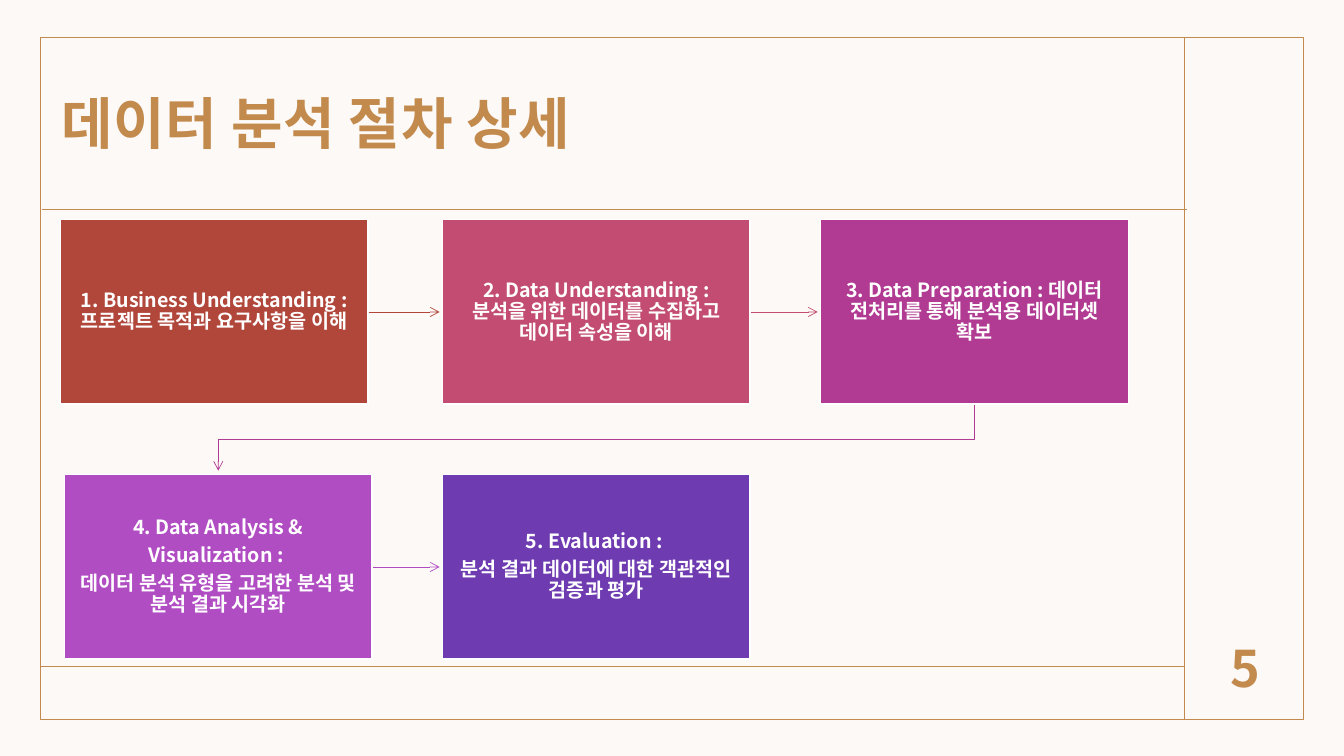
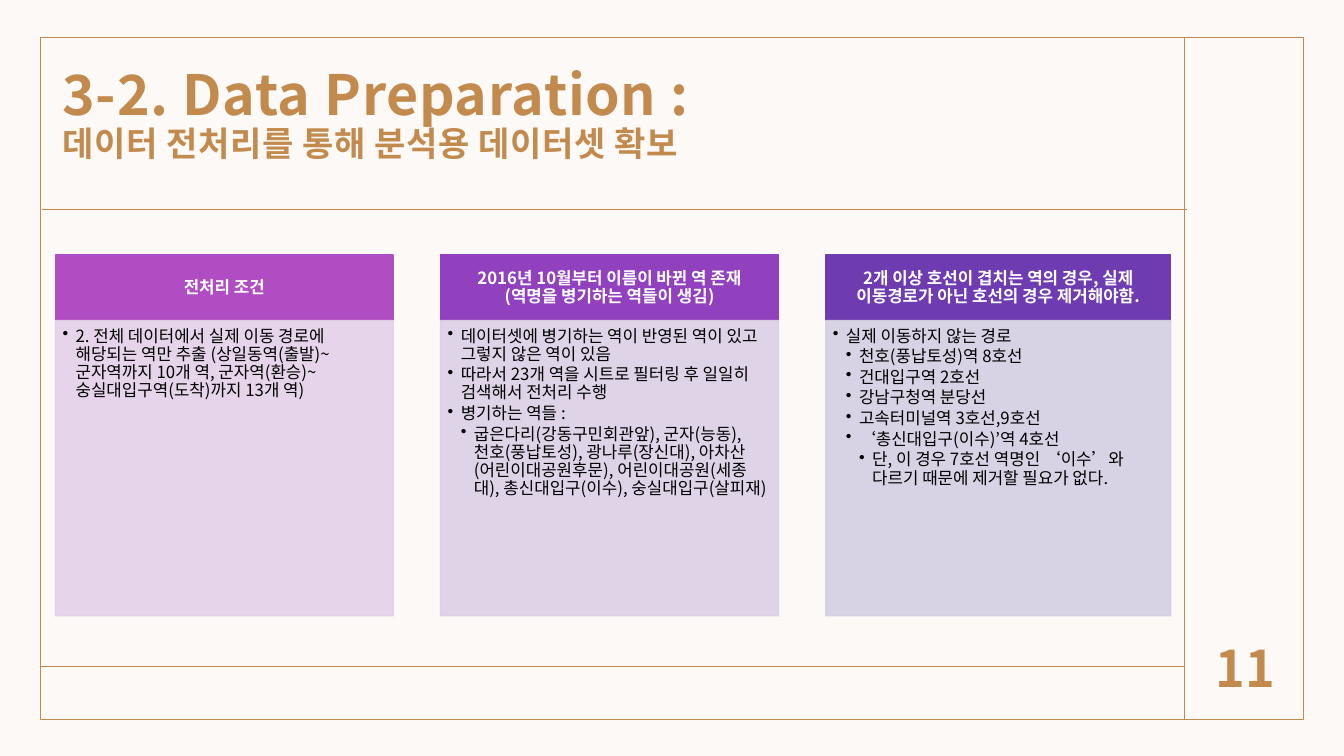
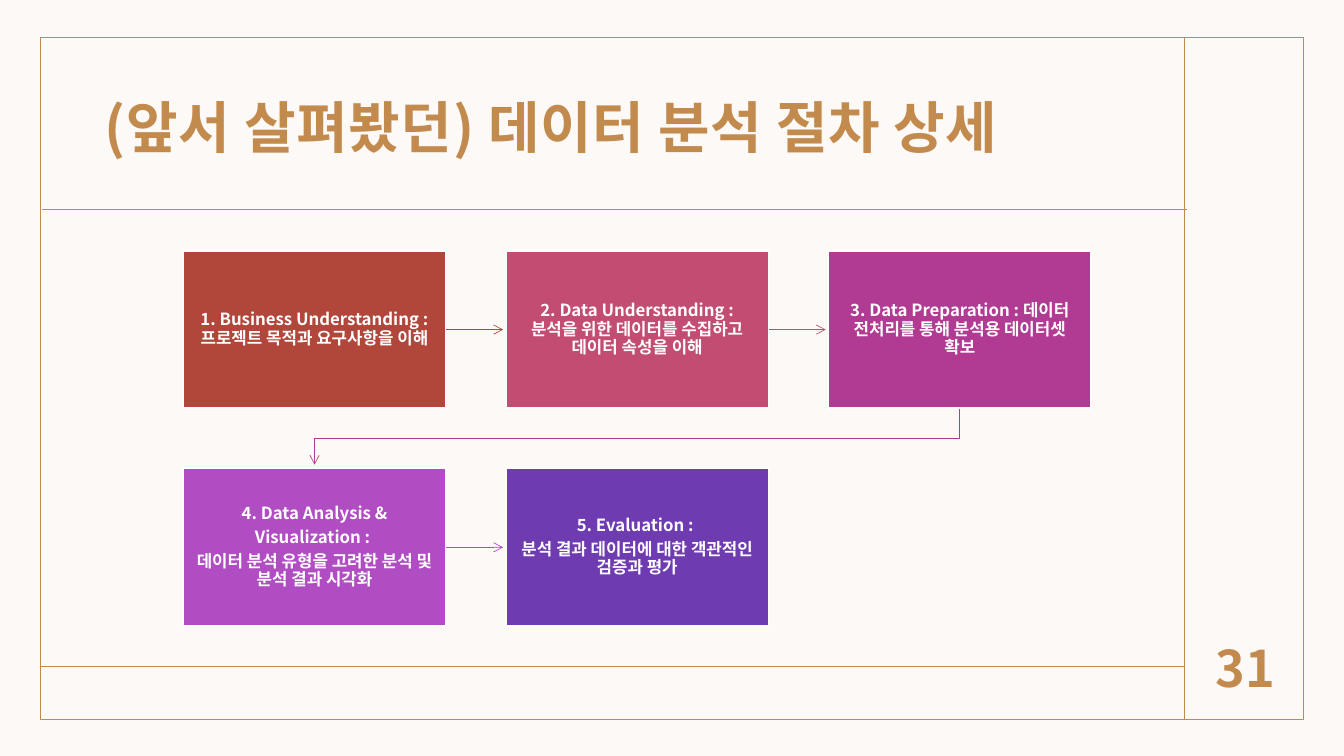
from lxml import etree
from pptx import Presentation, util as u
from pptx.dml.color import RGBColor
from pptx.enum import shapes, text
from pptx.oxml.ns import qn

FONT = "Noto Sans CJK KR"
GOLD, PAPER, WHITE, BLACK = "C38A4D", "FCF9F6", "FFFFFF", "000000"
INK = ["B1463B", "C34D72", "B13B92", "B14DC3", "6E3BB1"]
STEPS = [
    ["1. Business Understanding : 프로젝트 목적과 요구사항을 이해"],
    ["2. Data Understanding : 분석을 위한 데이터를 수집하고 데이터 속성을 이해"],
    ["3. Data Preparation : 데이터 전처리를 통해 분석용 데이터셋 확보"],
    ["4. Data Analysis &", "Visualization : ", "데이터 분석 유형을 고려한 분석 및 분석 결과 시각화"],
    ["5. Evaluation : ", "분석 결과 데이터에 대한 객관적인 검증과 평가"],
]
CARDS = [
    (3.35, "B14DC3", "E4D0E9", "전처리 조건", [
        (1, "2. 전체 데이터에서 실제 이동 경로에 해당되는 역만 추출 (상일동역(출발)~군자역까지 10개 역, "
            "군자역(환승)~숭실대입구역(도착)까지 13개 역)"),
    ]),
    (3.35, "9140BE", "DCCFE7", "2016년 10월부터 이름이 바뀐 역 존재 (역명을 병기하는 역들이 생김)", [
        (1, "데이터셋에 병기하는 역이 반영된 역이 있고 그렇지 않은 역이 있음"),
        (1, "따라서 23개 역을 시트로 필터링 후 일일히 검색해서 전처리 수행"),
        (1, "병기하는 역들 :"),
        (2, "굽은다리(강동구민회관앞), 군자(능동), 천호(풍납토성), 광나루(장신대), "
            "아차산(어린이대공원후문), 어린이대공원(세종대), 총신대입구(이수), 숭실대입구(살피재)"),
    ]),
    (3.42, "6E3BB1", "D5CEE4", "2개 이상 호선이 겹치는 역의 경우, 실제 이동경로가 아닌 호선의 경우 제거해야함.", [
        (1, "실제 이동하지 않는 경로"),
        (2, "천호(풍납토성)역 8호선"),
        (2, "건대입구역 2호선"),
        (2, "강남구청역 분당선"),
        (2, "고속터미널역 3호선,9호선"),
        (2, "‘총신대입구(이수)’역 4호선"),
        (3, "단, 이 경우 7호선 역명인 ‘이수’와 다르기 때문에 제거할 필요가 없다."),
    ]),
]


def rgb(code):
    return RGBColor.from_string(code)


def add(parent, tag, **attrs):
    return etree.SubElement(parent, qn(tag), attrs)


class Deck:
    """Hold the shared style and the current slide."""

    def __init__(self):
        self.prs = Presentation()
        self.prs.slide_width, self.prs.slide_height = u.Inches(13.33), u.Inches(7.5)

    def page(self, number, title, left, top, width, height):
        self.slide = self.prs.slides.add_slide(self.prs.slide_layouts[6])
        fill = self.slide.background.fill
        fill.solid()
        fill.fore_color.rgb = rgb(PAPER)
        self.rect(0.4, 0.37, 12.53, 6.77, None, GOLD)
        self.line(11.75, 0.37, 11.75, 7.13)
        self.line(0.41, 6.61, 11.75, 6.61)
        self.line(0.42, 2.08, 11.77, 2.08)
        self.title(title, left, top, width, height)
        para = self.frame(self.box(11.83, 6.2, 1.04, 0.83), (0.1, 0.12, 0.1, 0.1)).paragraphs[0]
        para.text = str(number)
        para.alignment = text.PP_ALIGN.CENTER
        self.style(para, 36, GOLD, True)

    def box(self, left, top, width, height):
        return self.slide.shapes.add_textbox(*map(u.Inches, (left, top, width, height)))

    def rect(self, left, top, width, height, fill, edge):
        shape = self.slide.shapes.add_shape(
            shapes.MSO_SHAPE.RECTANGLE, *map(u.Inches, (left, top, width, height)))
        shape.shadow.inherit = False
        if fill:
            shape.fill.solid()
            shape.fill.fore_color.rgb = rgb(fill)
        else:
            shape.fill.background()
        shape.line.color.rgb = rgb(edge)
        shape.line.width = u.Pt(1)
        return shape

    def line(self, x1, y1, x2, y2, color=GOLD, width=1, arrow=False):
        link = self.slide.shapes.add_connector(
            shapes.MSO_CONNECTOR.STRAIGHT, *map(u.Inches, (x1, y1, x2, y2)))
        self.stroke(link, color, width, arrow)
        add(link._element.spPr, "a:effectLst")

    def bend(self, points, color):
        spots = [(u.Inches(x), u.Inches(y)) for x, y in points]
        form = self.slide.shapes.build_freeform(*spots[0])
        form.add_line_segments(spots[1:], close=False)
        shape = form.convert_to_shape()
        shape.shadow.inherit = False
        shape.fill.background()
        self.stroke(shape, color, 0.5, True)

    def stroke(self, shape, color, width, arrow):
        shape.line.color.rgb = rgb(color)
        shape.line.width = u.Pt(width)
        if arrow:
            add(shape.line._get_or_add_ln(), "a:tailEnd", type="arrow")

    def frame(self, shape, inset, anchor=text.MSO_ANCHOR.MIDDLE):
        frame = shape.text_frame
        frame.word_wrap = True
        frame.vertical_anchor = anchor
        (frame.margin_left, frame.margin_top,
         frame.margin_right, frame.margin_bottom) = map(u.Inches, inset)
        return frame

    def style(self, para, size, color, bold=False):
        font = para.font
        font.name, font.size, font.bold = FONT, u.Pt(size), bold
        font.color.rgb = rgb(color)
        add(font._element, "a:ea", typeface=FONT)

    def title(self, parts, left, top, width, height):
        frame = self.frame(self.box(left, top, width, height), (0.12, 0.12, 0.12, 0.1))
        para = frame.paragraphs[0]
        para.line_spacing = 0.9
        self.style(para, parts[0][1], GOLD, True)
        para.font._element.set("spc", "50")
        for i, (words, size) in enumerate(parts):
            if i:
                para.add_line_break()
            run = para.add_run()
            run.text = words
            run.font.size = u.Pt(size)

    def fill(self, frame, lines, size, color, bold=False, after=0.35):
        for i, (level, words) in enumerate(lines):
            para = frame.paragraphs[0] if i == 0 else frame.add_paragraph()
            para.text = words
            para.line_spacing = 0.9
            para.space_after = u.Pt(size * after)
            if level:
                para.level = level
                props = para._p.get_or_add_pPr()
                props.set("marL", str(u.Inches(0.13 * level)))
                props.set("indent", str(-u.Inches(0.13)))
                add(props, "a:buChar", char="•")
            para.alignment = text.PP_ALIGN.LEFT if level else text.PP_ALIGN.CENTER
            self.style(para, size, color, bold)

    def flow(self, spots, width, height, size, inset):
        for i, (left, top) in enumerate(spots):
            if i in (0, 1, 3):
                mid = top + height / 2
                self.line(left + width, mid, spots[i + 1][0] - 0.03, mid, INK[i], 0.5, True)
            elif i == 2:
                x, y = spots[3]
                start, end = left + width / 2, x + width / 2
                mid = (top + height + y) / 2
                self.bend([(start, top + height), (start, mid), (end, mid), (end, y - 0.04)], INK[i])
            shape = self.rect(left, top, width, height, INK[i], WHITE)
            self.fill(self.frame(shape, [inset] * 4), [(0, s) for s in STEPS[i]], size, WHITE, True)

    def card(self, left, width, dark, pale, head, lines):
        shape = self.rect(left, 2.53, width, 0.65, dark, dark)
        self.fill(self.frame(shape, (0.09, 0.05, 0.09, 0.05)), [(0, head)], 12, WHITE, True)
        body = self.rect(left, 3.18, width, 2.93, pale, pale)
        for tint in body._element.spPr.iter(qn("a:srgbClr")):
            add(tint, "a:alpha", val="90000")
        frame = self.frame(body, (0.07, 0.07, 0.09, 0.1), text.MSO_ANCHOR.TOP)
        self.fill(frame, lines, 12, BLACK, after=0.15)


def main():
    deck = Deck()

    deck.page(5, [("데이터 분석 절차 상세", 40)], 0.49, 0.56, 10.42, 1.36)
    deck.flow([(0.6, 2.18), (4.39, 2.18), (8.14, 2.18), (0.64, 4.71), (4.39, 4.71)],
              3.05, 1.83, 14, 0.15)

    deck.page(11, [("3-2. Data Preparation : ", 39.6), ("데이터 전처리를 통해 분석용 데이터셋 확보", 24.3)],
              0.5, 0.54, 10.28, 1.19)
    for i, card in enumerate(CARDS):
        deck.card(0.55 + 3.82 * i, *card)

    deck.page(31, [("(앞서 살펴봤던) 데이터 분석 절차 상세", 40)], 0.92, 0.6, 10.42, 1.36)
    grid = [(1.82 + 3.2 * col, top) for top in (2.49, 4.65) for col in range(3)]
    deck.flow(grid[:5], 2.6, 1.56, 12, 0.13)

    deck.prs.save("out.pptx")


if __name__ == "__main__":
    main()
